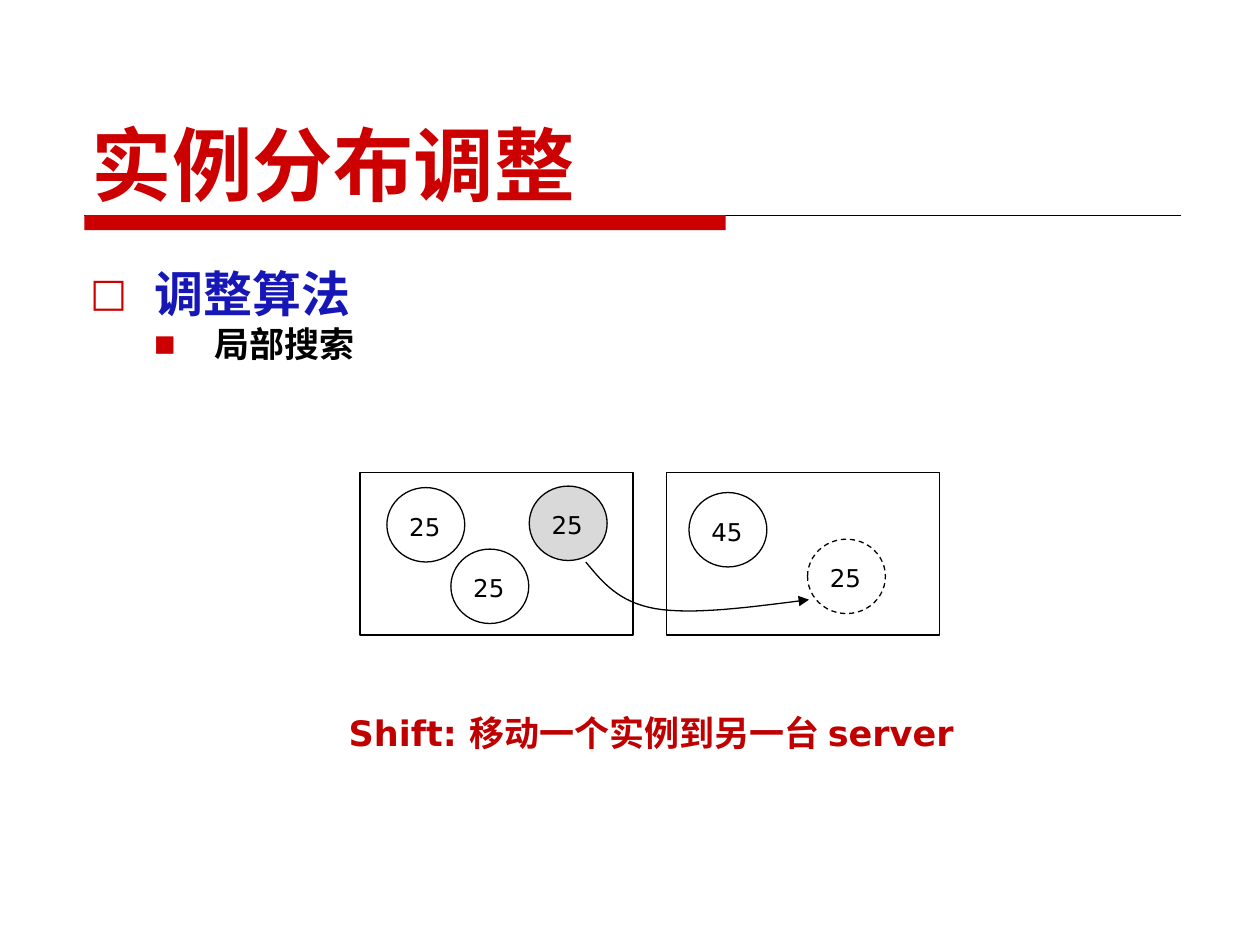
import pptx
import pptx.util
import pptx.dml.color
import pptx.enum.dml
import pptx.enum.shapes
import pptx.enum.text
import pptx.oxml
import pptx.oxml.ns
from lxml import etree

Cm, Pt = pptx.util.Cm, pptx.util.Pt
KIND = pptx.enum.shapes.MSO_SHAPE
CJK, SANS = "Noto Sans CJK SC", "DejaVu Sans"
HUES = {"red": "CC0000", "blue": "1717B7", "black": "000000",
        "grey": "D9D9D9", "dark": "C00000"}
CIRC = (1.57, 1.5)


def hue(name):
    return pptx.dml.color.RGBColor.from_string(HUES[name])


def add(node, tag, **attrs):
    return etree.SubElement(node, pptx.oxml.ns.qn(tag), attrs)


def style(par, size, tint, face=SANS, bold=False):
    font = par.font
    font.size, font.bold, font.name = Pt(size), bold, face
    font.color.rgb = hue(tint)
    props = par._p.get_or_add_pPr().find(pptx.oxml.ns.qn("a:defRPr"))
    add(props, "a:ea", typeface=CJK)


def bullet(par, char, left, hang, scale):
    props = par._p.get_or_add_pPr()
    props.set("marL", str(Cm(left)))
    props.set("indent", str(-Cm(hang)))
    add(add(props, "a:buClr"), "a:srgbClr", val=HUES["red"])
    add(props, "a:buSzPct", val=str(scale * 1000))
    add(props, "a:buFont", typeface=SANS)
    add(props, "a:buChar", char=char)


def text_box(slide, x, y, w, h):
    box = slide.shapes.add_textbox(Cm(x), Cm(y), Cm(w), Cm(h))
    box.text_frame.word_wrap = True
    return box.text_frame


def label(slide, text, x, y, w, h, size, tint, bold=False):
    par = text_box(slide, x, y, w, h).paragraphs[0]
    par.text = text
    style(par, size, tint, bold=bold)


def shape(slide, kind, x, y, w, h, fill=None, line="black", dash=False):
    item = slide.shapes.add_shape(kind, Cm(x), Cm(y), Cm(w), Cm(h))
    item.shadow.inherit = False
    if fill:
        item.fill.solid()
        item.fill.fore_color.rgb = hue(fill)
    else:
        item.fill.background()
    if line:
        item.line.color.rgb = hue(line)
        item.line.width = Pt(0.75)
    else:
        item.line.fill.background()
    if dash:
        item.line.dash_style = pptx.enum.dml.MSO_LINE.DASH


def circle(slide, text, x, y, fill=None, dash=False):
    shape(slide, KIND.OVAL, x, y, *CIRC, fill=fill, dash=dash)
    label(slide, text, x + 0.2, y + 0.36, CIRC[0], 0.84, 14, "black")


def bezier(a, b, c, d, steps=16):
    for i in range(1, steps + 1):
        t = i / steps
        u = 1 - t
        yield tuple(Cm(u**3 * p + 3 * u * u * t * q + 3 * u * t * t * r + t**3 * s)
                    for p, q, r, s in zip(a, b, c, d))


def arrow(slide, knots):
    start = [Cm(v) for v in knots[0]]
    pen = slide.shapes.build_freeform(*start)
    for i in range(0, len(knots) - 1, 3):
        pen.add_line_segments(list(bezier(*knots[i:i + 4])), close=False)
    item = pen.convert_to_shape()
    item.shadow.inherit = False
    item.fill.background()
    item.line.color.rgb = hue("black")
    item.line.width = Pt(0.75)
    add(item.line._get_or_add_ln(), "a:tailEnd", type="triangle")


def rule(slide, x, y, end):
    line = slide.shapes.add_connector(
        pptx.enum.shapes.MSO_CONNECTOR.STRAIGHT, Cm(x), Cm(y), Cm(end), Cm(y))
    line.line.color.rgb = hue("black")
    line.line.width = Pt(0.75)
    add(line._element.spPr, "a:effectLst")


def head(slide, text):
    title = slide.shapes.title
    title.left, title.top = Cm(1.6), Cm(1.02)
    title.width, title.height = Cm(22.22), Cm(3.38)
    frame = title.text_frame
    frame.text = text
    frame.word_wrap = True
    frame.vertical_anchor = pptx.enum.text.MSO_ANCHOR.BOTTOM
    par = frame.paragraphs[0]
    par.alignment = pptx.enum.text.PP_ALIGN.LEFT
    style(par, 46, "red", CJK, True)


def points(slide):
    frame = text_box(slide, 1.57, 4.6, 23.1, 12.57)
    first, second = frame.paragraphs[0], frame.add_paragraph()
    first.text, second.text = "调整算法", "局部搜索"
    first.line_spacing = 1.5
    second.level = 1
    bullet(first, "□", 1.3, 1.3, 80)
    bullet(second, "■", 2.51, 1.22, 65)
    style(first, 28, "blue", CJK, True)
    style(second, 20, "black", CJK, True)


def main():
    deck = pptx.Presentation()
    deck.slide_width, deck.slide_height = Cm(25.4), Cm(19.05)
    slide = deck.slides.add_slide(deck.slide_layouts[5])
    rule(slide, 1.7, 4.34, 23.8)
    shape(slide, KIND.RECTANGLE, 1.7, 4.34, 12.93, 0.3, "red", None)
    head(slide, "实例分布调整")
    points(slide)
    for x in (7.26, 13.44):
        shape(slide, KIND.RECTANGLE, x, 9.53, 5.5, 3.27)
    circle(slide, "25", 7.8, 9.83)
    circle(slide, "25", 10.67, 9.8, fill="grey")
    circle(slide, "25", 9.09, 11.07)
    circle(slide, "45", 13.89, 9.93)
    circle(slide, "25", 16.28, 10.87, dash=True)
    arrow(slide, [(11.81, 11.33), (12.14, 11.73), (12.47, 12.14), (13.21, 12.27),
                  (13.97, 12.4), (15.14, 12.24), (16.31, 12.09)])
    label(slide, "Shift: 移动一个实例到另一台 server",
          6.78, 14.22, 13.28, 1.12, 20, "dark", True)
    deck.save("out.pptx")


if __name__ == "__main__":
    main()
